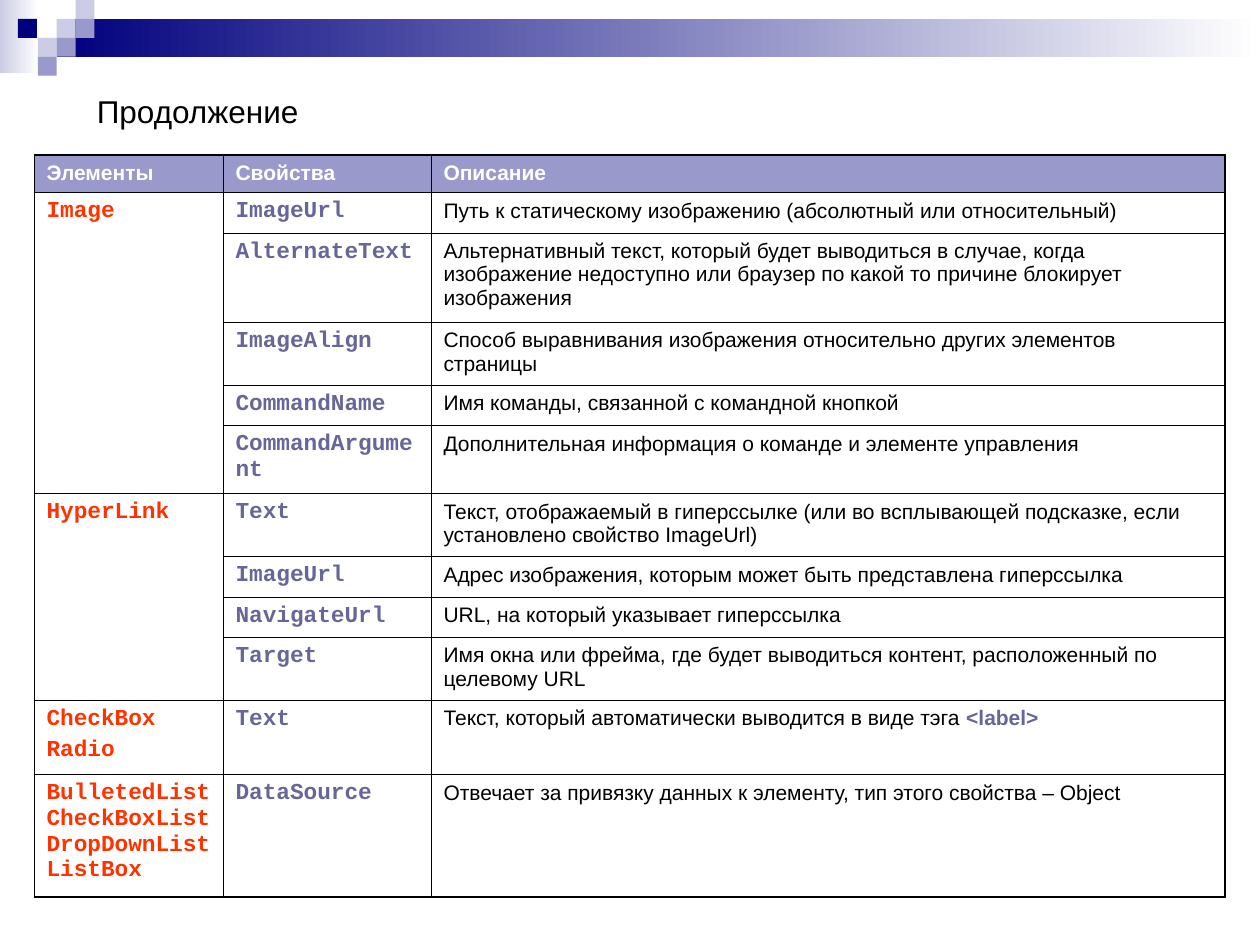
from lxml.etree import SubElement
from pptx import Presentation
from pptx.dml.color import RGBColor
from pptx.enum.shapes import MSO_SHAPE as Shape
from pptx.oxml.ns import qn
from pptx.util import Inches, Pt

COLORS = {
    "navy": "00007D",
    "lilac": "9999CC",
    "pale": "CCCCE6",
    "white": "FFFFFF",
    "black": "000000",
    "red": "FF3300",
    "violet": "666699",
}
THIN, THICK = 0.45, 1.08
COLUMN_WIDTHS = [1.5, 1.65, 6.3]
ROW_HEIGHTS = [0.3, 0.32, 0.71, 0.5, 0.32, 0.54, 0.5, 0.32, 0.32, 0.5, 0.59, 0.97]
HEADINGS = ["Элементы", "Свойства", "Описание"]
GROUPS = [
    (["Image"], [
        ("ImageUrl", "Путь к статическому изображению (абсолютный или относительный)"),
        ("AlternateText", "Альтернативный текст, который будет выводиться в случае, когда "
         "изображение недоступно или браузер по какой то причине блокирует изображения"),
        ("ImageAlign", "Способ выравнивания изображения относительно других элементов страницы"),
        ("CommandName", "Имя команды, связанной с командной кнопкой"),
        ("CommandArgument", "Дополнительная информация о команде и элементе управления"),
    ]),
    (["HyperLink"], [
        ("Text", "Текст, отображаемый в гиперссылке (или во всплывающей подсказке, "
         "если установлено свойство ImageUrl)"),
        ("ImageUrl", "Адрес изображения, которым может быть представлена гиперссылка"),
        ("NavigateUrl", "URL, на который указывает гиперссылка"),
        ("Target", "Имя окна или фрейма, где будет выводиться контент, "
         "расположенный по целевому URL"),
    ]),
    (["CheckBox", "Radio"], [
        ("Text", "Текст, который автоматически выводится в виде тэга "),
    ]),
    (["BulletedList\nCheckBoxList\nDropDownList ListBox"], [
        ("DataSource", "Отвечает за привязку данных к элементу, тип этого свойства – Object"),
    ]),
]
TAG = "<label>"
CODE = {"font": "Courier New", "size": 13, "bold": True, "before": 3.3}
BODY = {"size": 12, "before": 3}


def rgb(name):
    return RGBColor.from_string(COLORS[name])


def write(para, text, font="Arial", size=12, color="black", bold=False, before=0):
    para.space_before = Pt(before)
    for index, line in enumerate(text.split("\n")):
        if index:
            para.add_line_break()
        span = para.add_run()
        span.text = line
        span.font.name = font
        span.font.size = Pt(size)
        span.font.bold = bold
        span.font.color.rgb = rgb(color)


def add_block(page, left, top, width, height, color, fade=False):
    block = page.shapes.add_shape(
        Shape.RECTANGLE, Inches(left), Inches(top), Inches(width), Inches(height))
    block.shadow.inherit = False
    block.line.fill.background()
    if fade:
        block.fill.gradient()
        block.fill.gradient_angle = 0
        for stop, name in zip(block.fill.gradient_stops, (color, "white")):
            stop.color.rgb = rgb(name)
    else:
        block.fill.solid()
        block.fill.fore_color.rgb = rgb(color)


def add_banner(page, left, top, width, unit):
    add_block(page, left, top, 0.31, 0.58, "pale", fade=True)
    add_block(page, left + 3 * unit, top + unit, width - 3 * unit, 2 * unit, "navy", fade=True)
    squares = [
        (3, 1, "pale"), (4, 0, "pale"), (4, 1, "lilac"), (2, 2, "pale"),
        (0.95, 1, "navy"), (3, 2, "lilac"), (2, 3, "lilac"),
    ]
    for column, row, color in squares:
        add_block(page, left + column * unit, top + row * unit, unit, unit, color)


def add_title(page, left, top, width, height):
    box = page.shapes.add_textbox(Inches(left), Inches(top), Inches(width), Inches(height))
    box.text_frame.word_wrap = True
    write(box.text_frame.paragraphs[0], "Продолжение", size=18, before=11.2)


def set_borders(cell, **widths):
    props = cell._tc.get_or_add_tcPr()
    for side in "LRTB":
        line = SubElement(props, qn(f"a:ln{side}"), w=str(Pt(widths.get(side, THIN))))
        fill = SubElement(line, qn("a:solidFill"))
        SubElement(fill, qn("a:srgbClr"), val=COLORS["black"])


def style_cells(table):
    last_row, last_column = len(ROW_HEIGHTS) - 1, len(COLUMN_WIDTHS) - 1
    for r in range(last_row + 1):
        for c in range(last_column + 1):
            cell = table.cell(r, c)
            set_borders(
                cell,
                T=THIN if r else THICK,
                B=THICK if r == last_row else THIN,
                R=THICK if c == last_column else THIN,
            )
            if r:
                cell.fill.background()
            else:
                cell.fill.solid()
                cell.fill.fore_color.rgb = rgb("lilac")


def add_properties(page, left, top):
    frame = page.shapes.add_table(
        len(ROW_HEIGHTS), len(COLUMN_WIDTHS), Inches(left), Inches(top),
        Inches(sum(COLUMN_WIDTHS)), Inches(sum(ROW_HEIGHTS)))
    table = frame.table
    table.first_row = table.horz_banding = False
    for column, width in zip(table.columns, COLUMN_WIDTHS):
        column.width = Inches(width)
    for row, height in zip(table.rows, ROW_HEIGHTS):
        row.height = Inches(height)
    style_cells(table)

    def first_para(r, c):
        return table.cell(r, c).text_frame.paragraphs[0]

    for c, heading in enumerate(HEADINGS):
        write(first_para(0, c), heading, color="white", bold=True, **BODY)
    r = 1
    for elements, properties in GROUPS:
        cell = table.cell(r, 0)
        if len(properties) > 1:
            cell.merge(table.cell(r + len(properties) - 1, 0))
        for index, element in enumerate(elements):
            para = cell.text_frame.add_paragraph() if index else first_para(r, 0)
            write(para, element, color="red", **CODE)
        for name, description in properties:
            write(first_para(r, 1), name, color="violet", **CODE)
            write(first_para(r, 2), description, **BODY)
            if "CheckBox" in elements:
                write(first_para(r, 2), TAG, color="violet", bold=True, **BODY)
            r += 1


def main():
    deck = Presentation()
    deck.slide_width, deck.slide_height = Inches(10), Inches(7.5)
    page = deck.slides.add_slide(deck.slide_layouts[6])
    add_banner(page, 0, 0, 10, 0.15)
    add_properties(page, 0.27, 1.23)
    add_title(page, 0.67, 0.68, 3.31, 0.4)
    deck.save("out.pptx")


if __name__ == "__main__":
    main()
